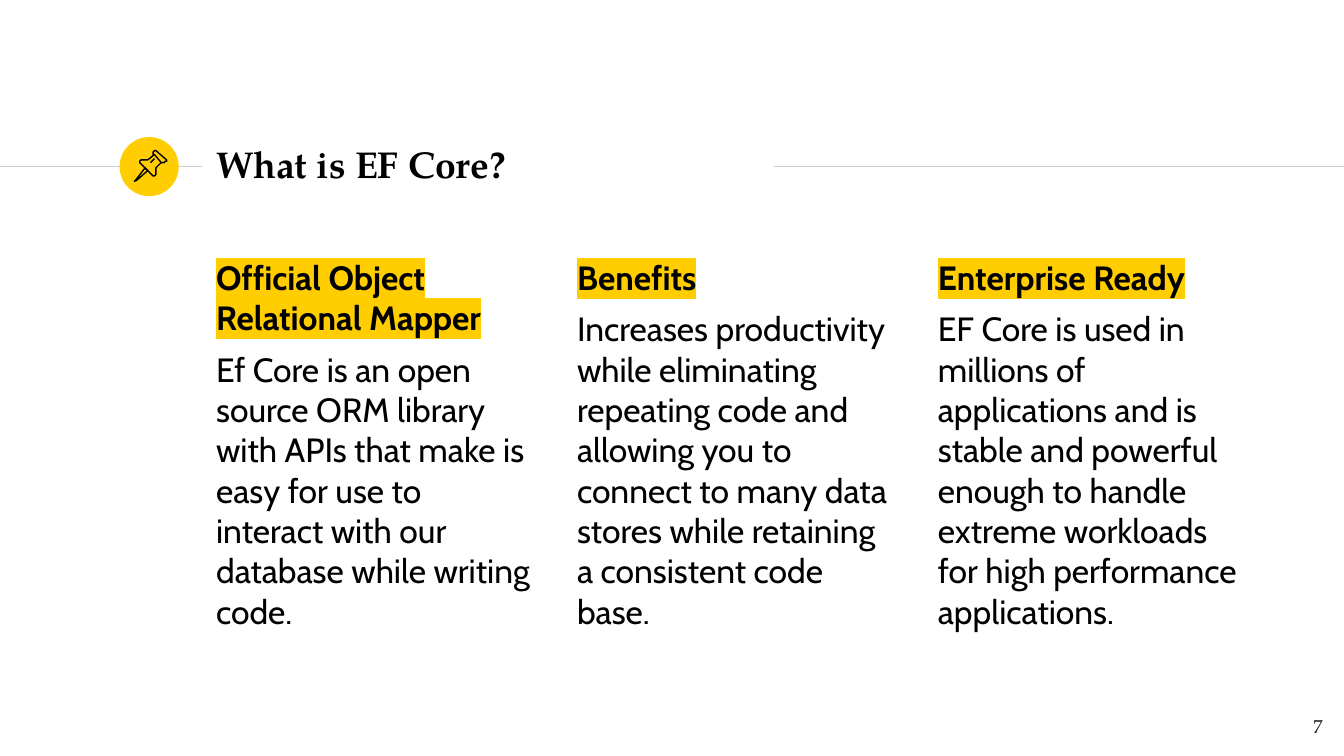
from lxml import etree
from pptx import Presentation
from pptx.dml.color import RGBColor
from pptx.enum.shapes import MSO_CONNECTOR, MSO_SHAPE
from pptx.enum.text import MSO_ANCHOR, PP_ALIGN
from pptx.oxml.ns import qn
from pptx.util import Inches, Pt

STRAIGHT = MSO_CONNECTOR.STRAIGHT
OVAL = MSO_SHAPE.OVAL
TOP, MIDDLE = MSO_ANCHOR.TOP, MSO_ANCHOR.MIDDLE
LEFT, RIGHT = PP_ALIGN.LEFT, PP_ALIGN.RIGHT

# Content
TITLE = "What is EF Core?"
PAGE_NUMBER = "7"
COLUMNS = [
    ("Official Object Relational Mapper",
     "Ef Core is an open source ORM library with APIs that make is easy for use "
     "to interact with our database while writing code."),
    ("Benefits",
     "Increases productivity while eliminating repeating code and allowing you to "
     "connect to many data stores while retaining a consistent code base."),
    ("Enterprise Ready",
     "EF Core is used in millions of applications and is stable and powerful enough "
     "to handle extreme workloads for high performance applications."),
]

# Pushpin outlines in hundredths of an inch: (closed, points)
PUSHPIN = [
    (True, [(108, 125), (101, 134), (100, 135), (102, 134), (110, 127)]),
    (True, [(115, 115), (120, 121), (122, 121), (123, 120), (124, 120), (124, 119),
            (116, 112), (115, 112), (114, 113), (114, 115)]),
    (False, [(115, 115), (110, 119), (107, 119), (105, 119), (104, 120), (104, 121),
             (114, 131), (115, 131), (116, 130), (116, 128), (116, 125), (120, 121)]),
    (False, [(112, 121), (115, 118)]),
]

# Style
COLORS = {"background": "FFFFFF", "rule": "CCCCCC", "accent": "FFCD00",
          "text": "000000", "number": "1D1D1B"}
SERIF, SANS = "TeX Gyre Pagella", "Cabin"
TITLE_FONT = {"name": SERIF, "size": Pt(20), "bold": True}
HEADING_FONT = {"name": SANS, "size": Pt(18), "bold": True}
BODY_FONT = {"name": SANS, "size": Pt(18), "bold": False}
NUMBER_FONT = {"name": SERIF, "size": Pt(10), "bold": False}

# Layout in inches, on a 16:9 slide
SLIDE_WIDTH = 10
SLIDE_HEIGHT = SLIDE_WIDTH * 9 / 16
RULE_Y = 1.24
RULES = [(0, 1.5), (5.76, SLIDE_WIDTH)]
BADGE_LEFT, BADGE_SIZE = 0.89, 0.44
COLUMN_LEFT, COLUMN_RIGHT = 1.51, 9.43
COLUMN_TOP, COLUMN_WIDTH, COLUMN_HEIGHT = 1.81, 2.55, 3.41
COLUMN_STEP = (COLUMN_RIGHT - COLUMN_LEFT - COLUMN_WIDTH) / (len(COLUMNS) - 1)


def rgb(name):
    return RGBColor.from_string(COLORS[name])


def add_rule(slide, start, end):
    rule = slide.shapes.add_connector(
        STRAIGHT, Inches(start), Inches(RULE_Y), Inches(end), Inches(RULE_Y))
    rule.line.color.rgb = rgb("rule")
    rule.line.width = Pt(0.75)
    etree.SubElement(rule.element.spPr, qn("a:effectLst"))


def add_badge(slide):
    badge = slide.shapes.add_shape(
        OVAL, Inches(BADGE_LEFT), Inches(RULE_Y - BADGE_SIZE / 2),
        Inches(BADGE_SIZE), Inches(BADGE_SIZE))
    badge.shadow.inherit = False
    badge.fill.solid()
    badge.fill.fore_color.rgb = rgb("accent")
    badge.line.fill.background()


def add_pushpin(slide):
    group = slide.shapes.add_group_shape()
    for closed, points in PUSHPIN:
        builder = group.shapes.build_freeform(*points[0], scale=Inches(0.01))
        builder.add_line_segments(points[1:], close=closed)
        outline = builder.convert_to_shape()
        outline.shadow.inherit = False
        outline.fill.background()
        outline.line.color.rgb = rgb("text")
        outline.line.width = Pt(0.75)


def add_text_box(slide, left, top, width, height, anchor=TOP):
    box = slide.shapes.add_textbox(
        Inches(left), Inches(top), Inches(width), Inches(height))
    frame = box.text_frame
    frame.word_wrap = True
    frame.vertical_anchor = anchor
    for side in ("left", "top", "right", "bottom"):
        setattr(frame, f"margin_{side}", Inches(0.1))
    return frame


def write(paragraph, text, font, color="text", align=LEFT, highlight=None):
    paragraph.alignment = align
    run = paragraph.add_run()
    run.text = text
    for attribute, value in font.items():
        setattr(run.font, attribute, value)
    run.font.color.rgb = rgb(color)
    if highlight:
        # The highlight follows the text fill in the schema
        mark = etree.Element(qn("a:highlight"))
        etree.SubElement(mark, qn("a:srgbClr"), val=COLORS[highlight])
        run._r.rPr.find(qn("a:solidFill")).addnext(mark)


def add_column(slide, index, heading, body):
    frame = add_text_box(slide, COLUMN_LEFT + index * COLUMN_STEP,
                         COLUMN_TOP, COLUMN_WIDTH, COLUMN_HEIGHT)
    write(frame.paragraphs[0], heading, HEADING_FONT, highlight="accent")
    write(frame.add_paragraph(), body, BODY_FONT)
    for paragraph in frame.paragraphs:
        paragraph.space_before = Pt(6)


def main():
    presentation = Presentation()
    presentation.slide_width = Inches(SLIDE_WIDTH)
    presentation.slide_height = Inches(SLIDE_HEIGHT)
    slide = presentation.slides.add_slide(presentation.slide_layouts[6])
    slide.background.fill.solid()
    slide.background.fill.fore_color.rgb = rgb("background")

    # Header: rules, badge and title
    add_rule(slide, *RULES[0])
    add_badge(slide)
    add_rule(slide, *RULES[1])
    title = add_text_box(slide, COLUMN_LEFT, 0.98, 4.24, 0.48, MIDDLE)
    write(title.paragraphs[0], TITLE, TITLE_FONT)

    # Three columns
    for index, (heading, body) in enumerate(COLUMNS):
        add_column(slide, index, heading, body)

    # Icon and page number
    add_pushpin(slide)
    number = add_text_box(slide, 9.34, 5.19, 0.6, 0.43, MIDDLE)
    write(number.paragraphs[0], PAGE_NUMBER, NUMBER_FONT, "number", RIGHT)

    presentation.save("out.pptx")


if __name__ == "__main__":
    main()
